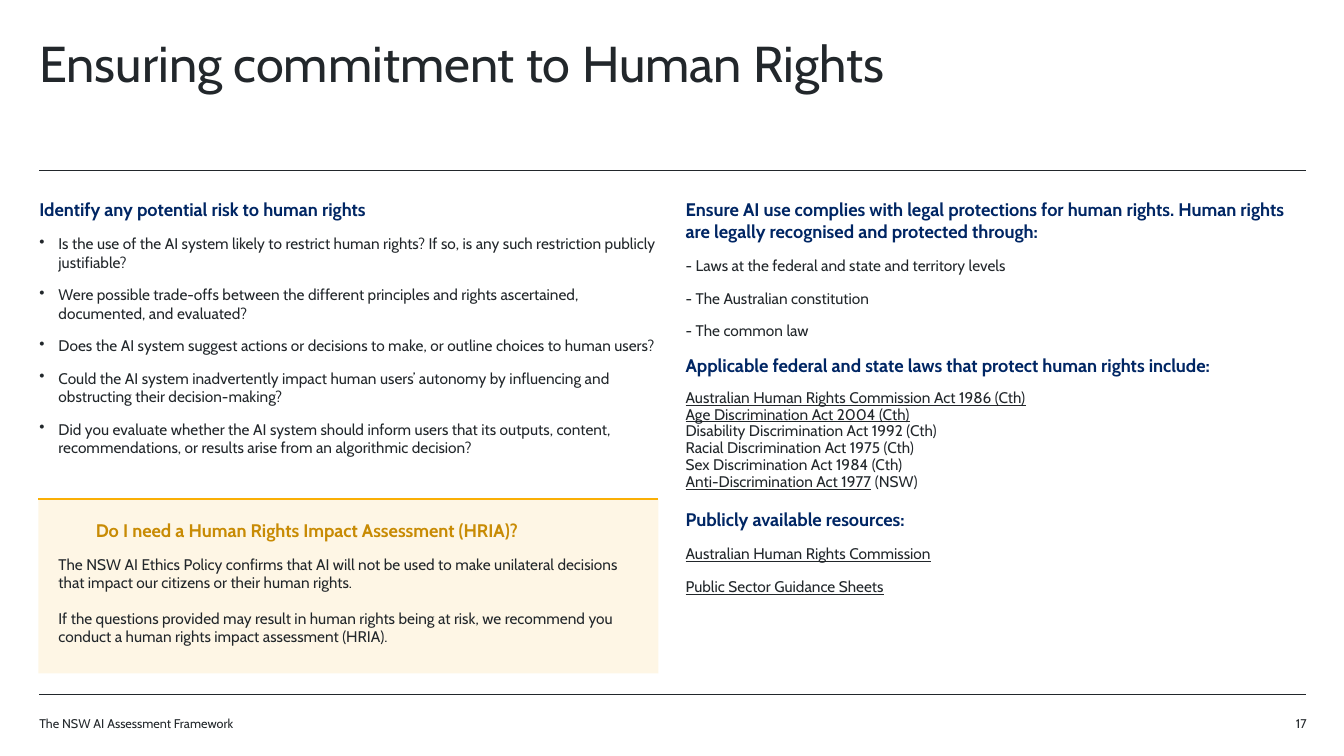
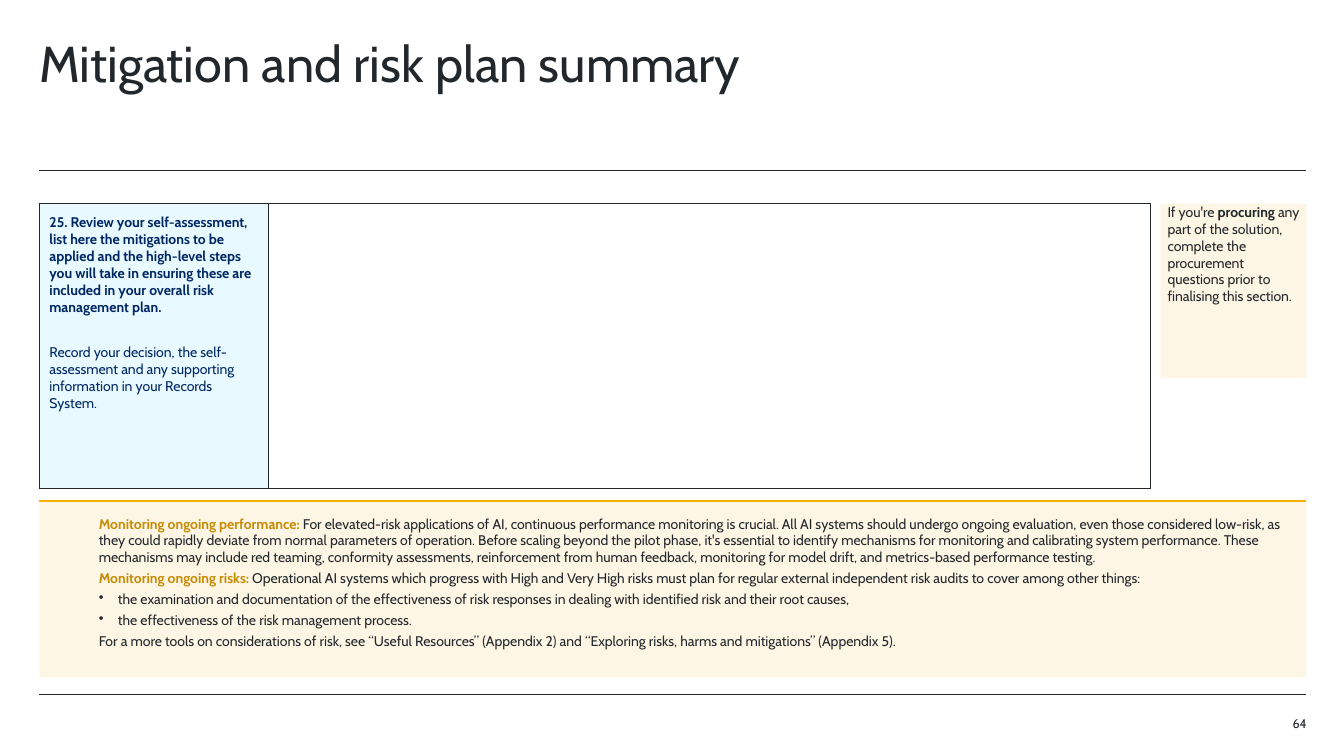
"""Build two slides of an AI assessment framework deck."""
import dataclasses
import typing

import lxml.etree
import pptx
import pptx.dml.color
import pptx.enum.shapes
import pptx.enum.text
import pptx.oxml.ns
import pptx.presentation
import pptx.slide
import pptx.text.text
import pptx.util

Inches = pptx.util.Inches
qn = pptx.oxml.ns.qn

FONT = "Cabin"
INK = "22272B"
NAVY = "002664"
GOLD = "C88B04"
AMBER = "FAAF05"
PALE_BLUE = "E8F9FF"
WHITE = "FFFFFF"
LEFT, RIGHT = 0.39, 12.95
BULLET_INDENT = 0.19


@dataclasses.dataclass(frozen=True)
class Run:
    text: str
    size: float = 11
    color: str = INK
    bold: bool = False
    underline: bool = False


@dataclasses.dataclass(frozen=True)
class Para:
    runs: tuple[Run, ...]
    after: float = 10
    before: float = 0
    spacing: typing.Optional[float] = None
    indent: float = 0
    bullet: bool = False
    right: bool = False


@dataclasses.dataclass(frozen=True)
class Box:
    left: float
    top: float
    width: float
    height: float

    def lengths(self) -> tuple[int, ...]:
        return tuple(Inches(v) for v in (self.left, self.top, self.width, self.height))


Insets = tuple[float, float, float, float]


def rgb(value: str) -> pptx.dml.color.RGBColor:
    return pptx.dml.color.RGBColor.from_string(value)


def heading(text: str, **options: typing.Any) -> Para:
    return Para((Run(text, 13, NAVY, bold=True),), **options)


def body(text: str, underline: bool = False, **options: typing.Any) -> Para:
    return Para((Run(text, underline=underline),), **options)


def small(*runs: Run, **options: typing.Any) -> Para:
    return Para(tuple(dataclasses.replace(run, size=10) for run in runs), **options)


def write(frame: pptx.text.text.TextFrame, paras: typing.Sequence[Para]) -> None:
    for index, para in enumerate(paras):
        paragraph = frame.paragraphs[0] if index == 0 else frame.add_paragraph()
        align = pptx.enum.text.PP_ALIGN
        paragraph.alignment = align.RIGHT if para.right else align.LEFT
        paragraph.space_before = pptx.util.Pt(para.before)
        paragraph.space_after = pptx.util.Pt(para.after)
        if para.spacing is not None:
            exact = para.spacing > 5
            paragraph.line_spacing = pptx.util.Pt(para.spacing) if exact else para.spacing
        properties = paragraph._p.get_or_add_pPr()
        if para.bullet:
            properties.set("marL", str(Inches(BULLET_INDENT)))
            properties.set("indent", str(-Inches(BULLET_INDENT)))
            lxml.etree.SubElement(properties, qn("a:buChar")).set("char", "•")
        elif para.indent:
            properties.set("marL", str(Inches(para.indent)))
        for part in para.runs:
            run = paragraph.add_run()
            run.text = part.text
            run.font.name = FONT
            run.font.size = pptx.util.Pt(part.size)
            run.font.bold = part.bold
            run.font.underline = part.underline
            run.font.color.rgb = rgb(part.color)


def set_frame(frame: pptx.text.text.TextFrame, insets: Insets) -> None:
    frame.word_wrap = True
    frame.vertical_anchor = pptx.enum.text.MSO_ANCHOR.TOP
    frame.margin_left, frame.margin_top, frame.margin_right, frame.margin_bottom = map(Inches, insets)


def add_text(slide: pptx.slide.Slide, box: Box, paras: typing.Sequence[Para]) -> None:
    frame = slide.shapes.add_textbox(*box.lengths()).text_frame
    set_frame(frame, (0, 0, 0, 0))
    write(frame, paras)


def add_rule(slide: pptx.slide.Slide, left: float, right: float, y: float,
             color: str = INK, weight: float = 0.5) -> None:
    rule = slide.shapes.add_connector(
        pptx.enum.shapes.MSO_CONNECTOR.STRAIGHT, Inches(left), Inches(y), Inches(right), Inches(y))
    rule.line.color.rgb = rgb(color)
    rule.line.width = pptx.util.Pt(weight)
    lxml.etree.SubElement(rule._element.spPr, qn("a:effectLst"))


def add_tint(slide: pptx.slide.Slide, box: Box, paras: typing.Sequence[Para] = (),
             insets: Insets = (0, 0, 0, 0)) -> None:
    tint = slide.shapes.add_shape(pptx.enum.shapes.MSO_SHAPE.RECTANGLE, *box.lengths())
    tint.shadow.inherit = False
    tint.line.fill.background()
    tint.fill.solid()
    tint.fill.fore_color.rgb = rgb(AMBER)
    color = tint._element.spPr.find(qn("a:solidFill")).find(qn("a:srgbClr"))
    lxml.etree.SubElement(color, qn("a:alpha")).set("val", "10000")
    set_frame(tint.text_frame, insets)
    write(tint.text_frame, paras)


def add_callout(slide: pptx.slide.Slide, box: Box, paras: typing.Sequence[Para], insets: Insets) -> None:
    add_rule(slide, box.left, box.left + box.width, box.top, AMBER, 1)
    add_tint(slide, box, paras, insets)


def add_answer_table(slide: pptx.slide.Slide, box: Box, columns: typing.Sequence[float],
                     question: typing.Sequence[Para]) -> None:
    table = slide.shapes.add_table(1, len(columns), *box.lengths()).table
    table.first_row = False
    table.horz_banding = False
    for column, width in zip(table.columns, columns):
        column.width = Inches(width)
    for cell, fill in zip(table.rows[0].cells, (PALE_BLUE, WHITE)):
        cell.margin_left = cell.margin_top = cell.margin_right = cell.margin_bottom = Inches(0.1)
        properties = cell._tc.get_or_add_tcPr()
        for side in ("a:lnL", "a:lnR", "a:lnT", "a:lnB"):
            border = lxml.etree.SubElement(properties, qn(side), w=str(pptx.util.Pt(1)))
            line_fill = lxml.etree.SubElement(border, qn("a:solidFill"))
            lxml.etree.SubElement(line_fill, qn("a:srgbClr"), val=INK)
        cell.fill.solid()
        cell.fill.fore_color.rgb = rgb(fill)
    write(table.cell(0, 0).text_frame, question)


def add_base(deck: pptx.presentation.Presentation, title: str, number: str, footer: str = "") -> pptx.slide.Slide:
    slide = deck.slides.add_slide(deck.slide_layouts[6])
    for y in (1.69, 6.89):
        add_rule(slide, LEFT, RIGHT, y)
    add_text(slide, Box(LEFT, 0.39, 11.02, 1.1), [Para((Run(title, 36),), after=0, spacing=0.9)])
    add_text(slide, Box(12.17, 7.1, 0.79, 0.2), [Para((Run(number, 9),), after=0, right=True)])
    if footer:
        add_text(slide, Box(LEFT, 7.1, 5.88, 0.2), [Para((Run(footer, 9),), after=0)])
    return slide


def build_human_rights(deck: pptx.presentation.Presentation) -> None:
    slide = add_base(deck, "Ensuring commitment to Human Rights", "17", "The NSW AI Assessment Framework")
    questions = (
        "Is the use of the AI system likely to restrict human rights? If so, is any such restriction "
        "publicly justifiable?",
        "Were possible trade-offs between the different principles and rights ascertained, documented, "
        "and evaluated?",
        "Does the AI system suggest actions or decisions to make, or outline choices to human users?",
        "Could the AI system inadvertently impact human users’ autonomy by influencing and obstructing "
        "their decision-making?",
        "Did you evaluate whether the AI system should inform users that its outputs, content, "
        "recommendations, or results arise from an algorithmic decision?",
    )
    add_text(slide, Box(LEFT, 1.97, 6.14, 4.88), [
        heading("Identify any potential risk to human rights"),
        *(body(question, bullet=True) for question in questions),
    ])
    protections = (
        "- Laws at the federal and state and territory levels",
        "- The Australian constitution",
        "- The common law",
    )
    acts = (
        (Run("Australian Human Rights Commission Act 1986 (Cth)", underline=True),),
        (Run("Age Discrimination Act 2004 (Cth)", underline=True),),
        (Run("Disability Discrimination Act 1992 (Cth)"),),
        (Run("Racial Discrimination Act 1975 (Cth)"),),
        (Run("Sex Discrimination Act 1984 (Cth)"),),
        (Run("Anti-Discrimination Act 1977", underline=True), Run(" (NSW)")),
    )
    resources = ("Australian Human Rights Commission", "Public Sector Guidance Sheets")
    add_text(slide, Box(6.8, 1.97, 6.15, 4.38), [
        heading("Ensure AI use complies with legal protections for human rights. "
                "Human rights are legally recognised and protected through:"),
        *(body(protection) for protection in protections),
        heading("Applicable federal and state laws that protect human rights include:"),
        *(Para(act, after=0, spacing=12) for act in acts),
        heading("Publicly available resources:", before=13),
        *(body(resource, underline=True) for resource in resources),
    ])
    add_callout(slide, Box(0.38, 4.95, 6.15, 1.73), [
        Para((Run("Do I need a Human Rights Impact Assessment (HRIA)?", 13, GOLD, bold=True),), indent=0.37),
        body("The NSW AI Ethics Policy confirms that AI will not be used to make unilateral decisions "
             "that impact our citizens or their human rights.", after=12),
        body("If the questions provided may result in human rights being at risk, we recommend you "
             "conduct a human rights impact assessment (HRIA).", after=12),
    ], (0.2, 0.2, 0.2, 0.2))


def build_risk_plan(deck: pptx.presentation.Presentation) -> None:
    slide = add_base(deck, "Mitigation and risk plan summary", "64")
    add_answer_table(slide, Box(LEFT, 2.02, 11.02, 2.83), (2.27, 8.75), [
        small(Run("25. Review your self-assessment, list here the mitigations to be applied and the "
                  "high-level steps you will take in ensuring these are included in your overall risk "
                  "management plan.", color=NAVY, bold=True), after=4),
        small(Run("Record your decision, the self-assessment and any supporting information in your "
                  "Records System.", color=NAVY), after=4, before=16),
    ])
    add_tint(slide, Box(11.51, 2.02, 1.45, 1.73))
    add_text(slide, Box(11.58, 2.02, 1.32, 0.79), [
        small(Run("If you're "), Run("procuring ", bold=True),
              Run("any part of the solution, complete the procurement questions prior to finalising "
                  "this section.")),
    ])
    add_callout(slide, Box(LEFT, 4.97, RIGHT - LEFT, 1.75), [
        small(Run("Monitoring ongoing performance: ", color=GOLD, bold=True),
              Run("For elevated-risk applications of AI, continuous performance monitoring is crucial. "
                  "All AI systems should undergo ongoing evaluation, even those considered low-risk, as "
                  "they could rapidly deviate from normal parameters of operation. Before scaling beyond "
                  "the pilot phase, it's essential to identify mechanisms for monitoring and calibrating "
                  "system performance. These mechanisms may include red teaming, conformity assessments, "
                  "reinforcement from human feedback, monitoring for model drift, and metrics-based "
                  "performance testing."), after=3),
        small(Run("Monitoring ongoing risks: ", color=GOLD, bold=True),
              Run("Operational AI systems which progress with High and Very High risks must plan for "
                  "regular external independent risk audits to cover among other things:"), after=3),
        small(Run("the examination and documentation of the effectiveness of risk responses in dealing "
                  "with identified risk and their root causes,"), after=3, bullet=True),
        small(Run("the effectiveness of the risk management process."), after=3, bullet=True),
        small(Run("For a more tools on considerations of risk, see “Useful Resources” (Appendix 2) and "
                  "“Exploring risks, harms and mitigations” (Appendix 5)."), after=3),
    ], (0.59, 0.14, 0.2, 0.2))


def main() -> None:
    deck = pptx.Presentation()
    deck.slide_width, deck.slide_height = Inches(13.33), Inches(7.5)
    build_human_rights(deck)
    build_risk_plan(deck)
    deck.save("out.pptx")


if __name__ == "__main__":
    main()
